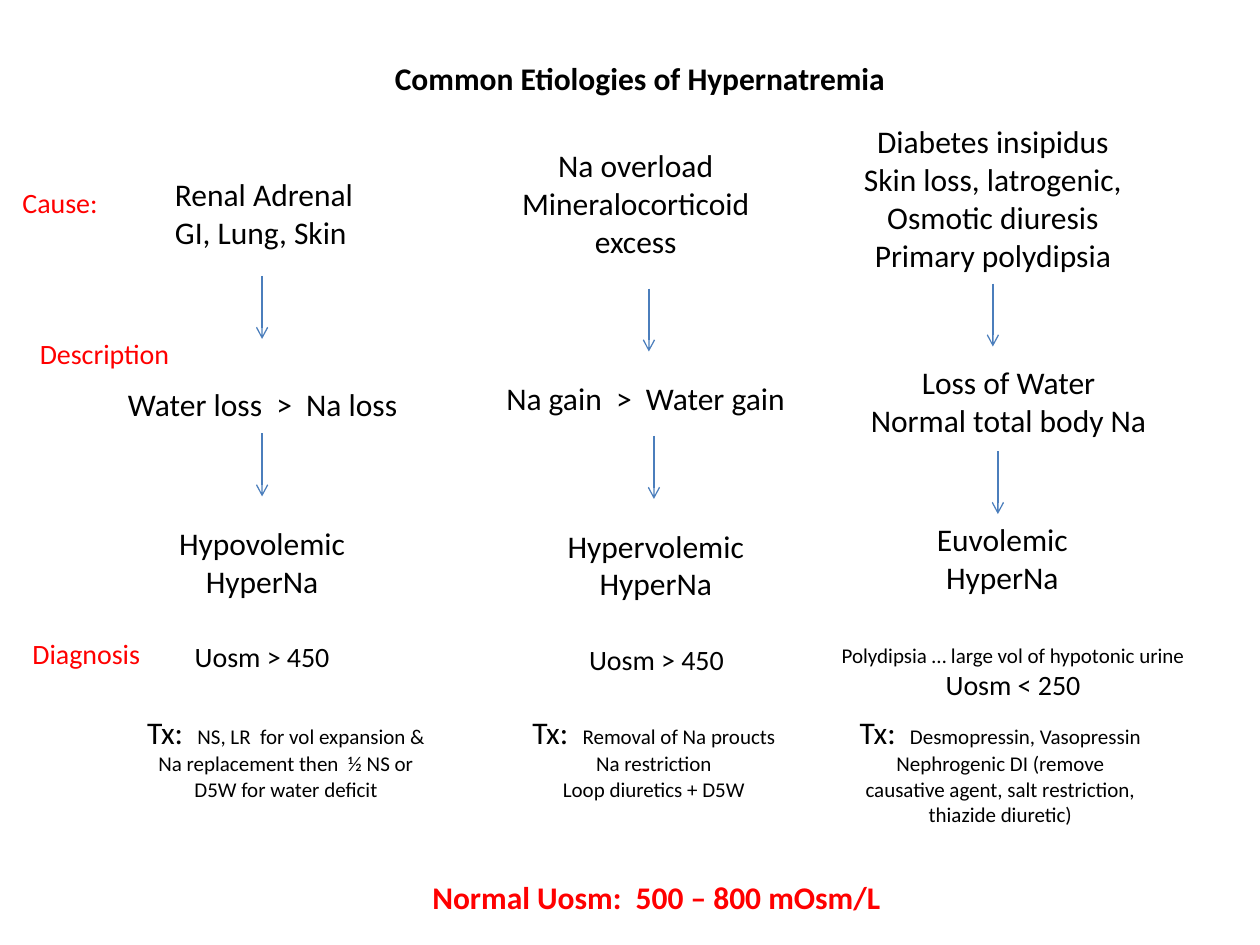
from dataclasses import dataclass

import lxml.etree
import pptx
import pptx.dml.color
import pptx.enum.shapes
import pptx.enum.text
import pptx.oxml.ns
import pptx.slide
import pptx.util

PX = 9144
BLACK, RED, BLUE = "000000", "FF0000", "4B7EBC"
LEFT = pptx.enum.text.PP_ALIGN.LEFT
CENTER = pptx.enum.text.PP_ALIGN.CENTER


@dataclass(frozen=True)
class Run:
    text: str
    size: int = 18


@dataclass(frozen=True)
class Note:
    left: int
    top: int
    width: int
    height: int
    paragraphs: list[list[Run]]
    color: str = BLACK
    bold: bool = False
    align: pptx.enum.text.PP_ALIGN = CENTER


@dataclass(frozen=True)
class Arrow:
    x: int
    top: int
    length: int = 50


def lines(*texts: str, size: int = 18) -> list[list[Run]]:
    return [[Run(text, size)] for text in texts]


def treatment(first: str, *others: str) -> list[list[Run]]:
    return [[Run("Tx:  "), Run(first, 12)], *lines(*others, size=12)]


HEADINGS = [
    Note(283, 42, 450, 40, lines("Common Etiologies of Hypernatremia"), bold=True),
    Note(325, 692, 392, 40, lines("Normal Uosm:  500 – 800 mOsm/L"), RED, True),
]
ROW_LABELS = [
    Note(8, 142, 96, 37, lines("Cause:", size=16), RED, align=LEFT),
    Note(8, 262, 150, 37, lines("Description", size=16), RED),
    Note(8, 500, 121, 37, lines("Diagnosis", size=16), RED),
]
HYPOVOLEMIC = [
    Note(129, 134, 175, 71, lines("Renal Adrenal", "GI, Lung, Skin"), align=LEFT),
    Note(75, 301, 267, 40, lines("Water loss  >  Na loss")),
    Note(129, 411, 158, 71, lines("Hypovolemic", "HyperNa")),
    Note(129, 503, 158, 37, lines("Uosm > 450", size=16)),
    Note(104, 561, 246, 81, treatment(
        "NS, LR  for vol expansion & Na replacement then  ½ NS or D5W for water deficit")),
]
HYPERVOLEMIC = [
    Note(392, 111, 225, 101, lines("Na overload", "Mineralocorticoid excess")),
    Note(392, 296, 250, 40, lines("Na gain  >  Water gain"), align=LEFT),
    Note(433, 413, 175, 71, lines("Hypervolemic", "HyperNa")),
    Note(442, 505, 158, 37, lines("Uosm > 450", size=16)),
    Note(396, 561, 246, 81, treatment(
        "Removal of Na proucts", "Na restriction", "Loop diuretics + D5W")),
]
EUVOLEMIC = [
    Note(667, 92, 242, 131, lines(
        "Diabetes insipidus", "Skin loss, latrogenic,", "Osmotic diuresis", "Primary polydipsia")),
    Note(667, 283, 267, 71, lines("Loss of Water", "Normal total body Na")),
    Note(708, 408, 175, 71, lines("Euvolemic", "HyperNa")),
    Note(650, 505, 308, 57, [
        [Run("Polydipsia … large vol of hypotonic urine", 12)], [Run("Uosm < 250", 16)]]),
    Note(671, 561, 246, 101, treatment(
        "Desmopressin, Vasopressin",
        "Nephrogenic DI (remove causative agent, salt restriction, thiazide diuretic)")),
]
ARROWS = [
    Arrow(208, 219), Arrow(208, 344),
    Arrow(515, 229), Arrow(519, 346),
    Arrow(788, 225), Arrow(792, 358),
]


def rgb(color: str) -> pptx.dml.color.RGBColor:
    return pptx.dml.color.RGBColor.from_string(color)


def draw_note(slide: pptx.slide.Slide, note: Note) -> None:
    box = slide.shapes.add_textbox(
        note.left * PX, note.top * PX, note.width * PX, note.height * PX)
    frame = box.text_frame
    frame.word_wrap = True
    frame.auto_size = pptx.enum.text.MSO_AUTO_SIZE.SHAPE_TO_FIT_TEXT
    for index, runs in enumerate(note.paragraphs):
        paragraph = frame.add_paragraph() if index else frame.paragraphs[0]
        paragraph.alignment = note.align
        paragraph.font.name = "Calibri"
        paragraph.font.bold = note.bold
        paragraph.font.color.rgb = rgb(note.color)
        if len(runs) == 1:
            paragraph.font.size = pptx.util.Pt(runs[0].size)
        for part in runs:
            run = paragraph.add_run()
            run.text = part.text
            if len(runs) > 1:
                run.font.size = pptx.util.Pt(part.size)


def draw_arrow(slide: pptx.slide.Slide, arrow: Arrow) -> None:
    connector = slide.shapes.add_connector(
        pptx.enum.shapes.MSO_CONNECTOR.STRAIGHT,
        arrow.x * PX, arrow.top * PX, arrow.x * PX, (arrow.top + arrow.length) * PX)
    connector.line.color.rgb = rgb(BLUE)
    connector.line.width = pptx.util.Pt(0.75)
    qn = pptx.oxml.ns.qn
    lxml.etree.SubElement(connector.line._get_or_add_ln(), qn("a:tailEnd"), type="arrow")
    lxml.etree.SubElement(connector._element.spPr, qn("a:effectLst"))


def main() -> None:
    presentation = pptx.Presentation()
    presentation.slide_width = 1000 * PX
    presentation.slide_height = 750 * PX
    slide = presentation.slides.add_slide(presentation.slide_layouts[6])
    for note in HEADINGS + ROW_LABELS + HYPOVOLEMIC + HYPERVOLEMIC + EUVOLEMIC:
        draw_note(slide, note)
    for arrow in ARROWS:
        draw_arrow(slide, arrow)
    presentation.save("out.pptx")


if __name__ == "__main__":
    main()
